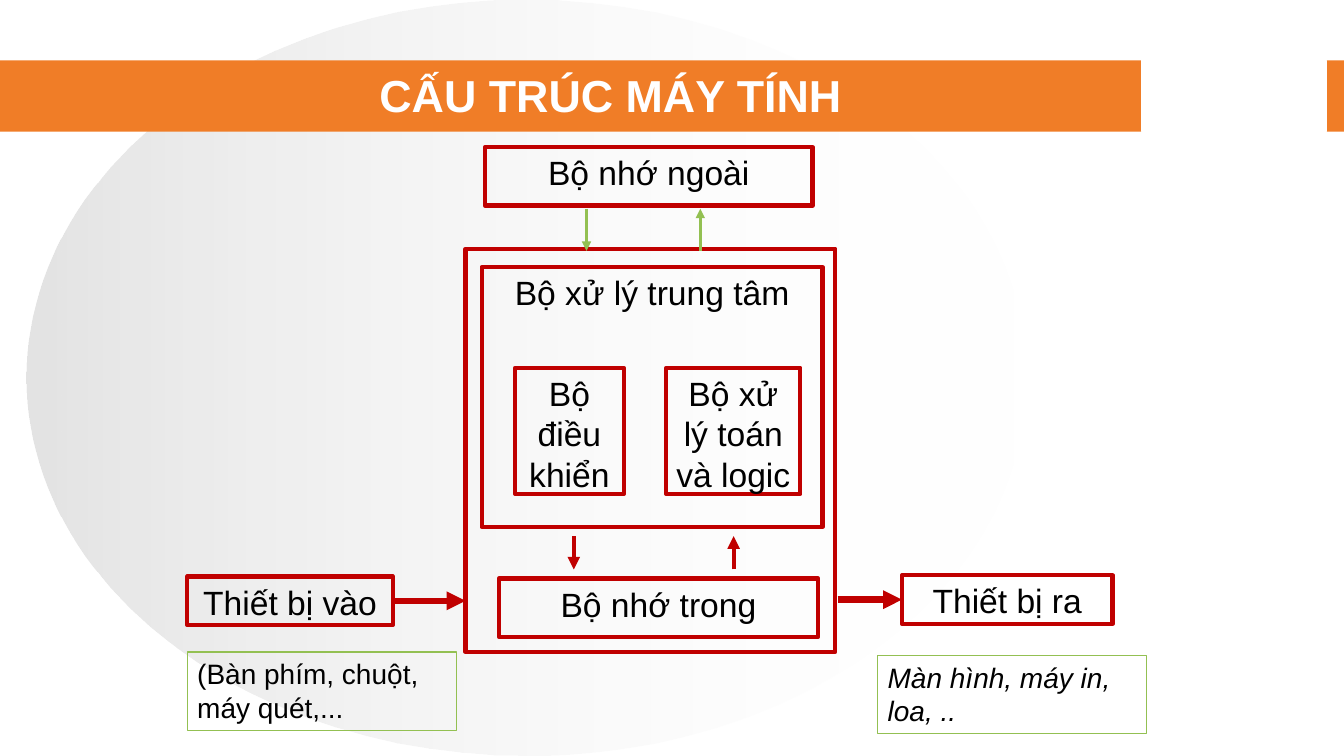
from pptx import Presentation
from pptx.dml.color import RGBColor
from pptx.enum.shapes import MSO_CONNECTOR as Link, MSO_SHAPE as Form
from pptx.enum.text import MSO_ANCHOR as Anchor, PP_ALIGN as Align
from pptx.oxml.ns import qn
from pptx.oxml.xmlchemy import OxmlElement as Node
from pptx.util import Cm, Pt

RED = RGBColor(0xC0, 0x00, 0x00)
GREEN = RGBColor(0x93, 0xC0, 0x52)
ORANGE = RGBColor(0xF0, 0x7D, 0x27)
WHITE = RGBColor(0xFF, 0xFF, 0xFF)
BLACK = RGBColor(0x00, 0x00, 0x00)
SILVER = RGBColor(0xC0, 0xC0, 0xC0)
FONT = "Arial"


def add_form(slide, area, fill=None, line=None, width=0.75, form=Form.RECTANGLE):
    shape = slide.shapes.add_shape(form, *map(Cm, area))
    shape.shadow.inherit = False
    if fill is None:
        shape.fill.background()
    else:
        shape.fill.solid()
        shape.fill.fore_color.rgb = fill
    if line is None:
        shape.line.fill.background()
    else:
        shape.line.color.rgb = line
        shape.line.width = Pt(width)
    return shape


def put_text(shape, text, size, color=BLACK, align=Align.CENTER,
             anchor=Anchor.TOP, bold=False, italic=False):
    frame = shape.text_frame
    frame.word_wrap = True
    frame.vertical_anchor = anchor
    par = frame.paragraphs[0]
    par.text = text
    par.alignment = align
    font = par.font
    font.name, font.size = FONT, Pt(size)
    font.bold, font.italic = bold, italic
    font.color.rgb = color


def add_unit(slide, text, area):
    """Add a red-framed part of the computer."""
    shape = add_form(slide, area, line=RED, width=3)
    if text:
        put_text(shape, text, 24)
    return shape


def add_note(slide, text, left, top, italic=False):
    shape = add_form(slide, (left, top, 6.78, 1.98), line=GREEN)
    put_text(shape, text, 20, align=Align.LEFT, italic=italic)


def add_arrow(slide, start, end, color, width):
    arrow = slide.shapes.add_connector(Link.STRAIGHT, *map(Cm, start + end))
    arrow.line.color.rgb = color
    arrow.line.width = Pt(width)
    tip = Node("a:tailEnd")
    tip.set("type", "triangle")
    arrow.line._get_or_add_ln().append(tip)
    arrow._element.spPr.append(Node("a:effectLst"))
    return arrow


def add_pair(slide, down, up, top, bottom, color, width):
    """Add a downward and an upward arrow side by side."""
    add_arrow(slide, (down, top), (down, bottom), color, width)
    add_arrow(slide, (up, bottom), (up, top), color, width)


def add_glow(slide):
    """Add the large ellipse that fades out to the right."""
    glow = add_form(slide, (0.66, 0, 25.2, 19.05), form=Form.OVAL)
    glow.fill.gradient()
    glow.fill.gradient_angle = 0
    for stop, color, place in zip(glow.fill.gradient_stops, (SILVER, WHITE), (0, 1)):
        stop.color.rgb = color
        stop.position = place
    for color, alpha in zip(glow._element.spPr.iter(qn("a:srgbClr")), (44, 0)):
        node = Node("a:alpha")
        node.set("val", str(alpha * 1000))
        color.append(node)


def add_title(slide, text):
    add_form(slide, (0, 1.52, 33.87, 1.8), fill=ORANGE)
    add_form(slide, (28.78, 1.52, 4.65, 1.8), fill=WHITE, line=WHITE)
    box = slide.shapes.add_textbox(*map(Cm, (4.24, 1.7, 22.3, 1.35)))
    put_text(box, text, 32, WHITE, anchor=Anchor.MIDDLE, bold=True)


def main():
    deck = Presentation()
    deck.slide_width, deck.slide_height = Cm(33.87), Cm(19.05)
    slide = deck.slides.add_slide(deck.slide_layouts[6])

    add_glow(slide)
    add_title(slide, "CẤU TRÚC MÁY TÍNH")

    add_unit(slide, "", (11.73, 6.27, 9.32, 10.16))
    source = add_unit(slide, "Thiết bị vào", (4.72, 14.53, 5.18, 1.22))
    target = add_unit(slide, "Thiết bị ra", (22.73, 14.5, 5.31, 1.22))
    for text, area in (
        ("Bộ xử lý trung tâm", (12.14, 6.73, 8.59, 6.55)),
        ("Bộ điều khiển", (12.98, 9.27, 2.74, 3.18)),
        ("Bộ xử lý toán và logic", (16.79, 9.27, 3.38, 3.18)),
        ("Bộ nhớ trong", (12.57, 14.58, 8.05, 1.47)),
        ("Bộ nhớ ngoài", (12.22, 3.71, 8.26, 1.47)),
    ):
        add_unit(slide, text, area)

    feed = add_arrow(slide, (9.9, 15.14), (11.73, 15.14), RED, 4.5)
    feed.begin_connect(source, 3)
    result = add_arrow(slide, (21.11, 15.11), (22.73, 15.11), RED, 4.5)
    result.end_connect(target, 1)
    add_pair(slide, 14.46, 18.49, 13.51, 14.35, RED, 3)
    add_pair(slide, 14.78, 17.65, 5.26, 6.32, GREEN, 2.25)

    add_note(slide, "(Bàn phím, chuột, máy quét,...", 4.72, 16.43)
    add_note(slide, "Màn hình, máy in, loa, ..", 22.12, 16.51, italic=True)
    deck.save("out.pptx")


if __name__ == "__main__":
    main()
